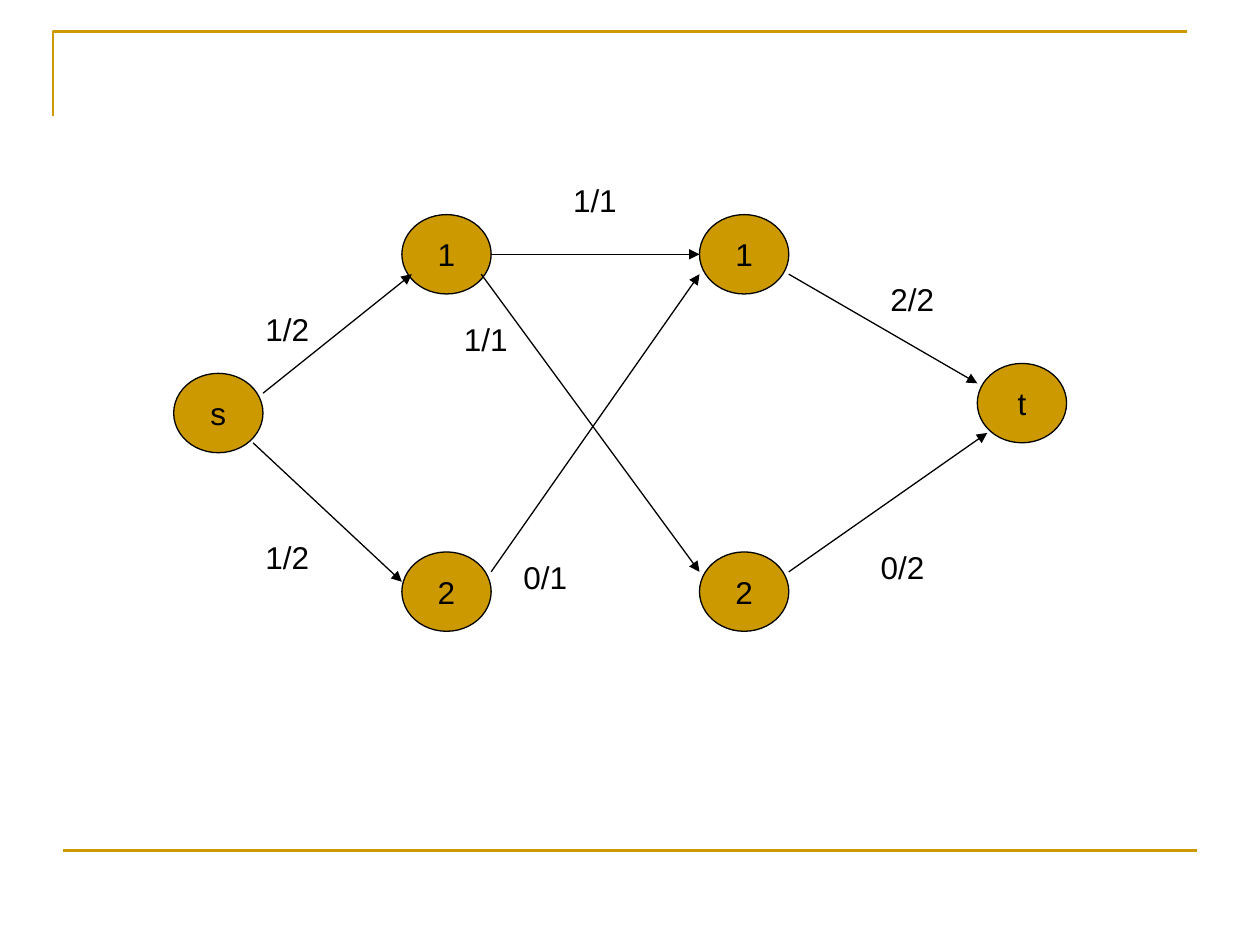
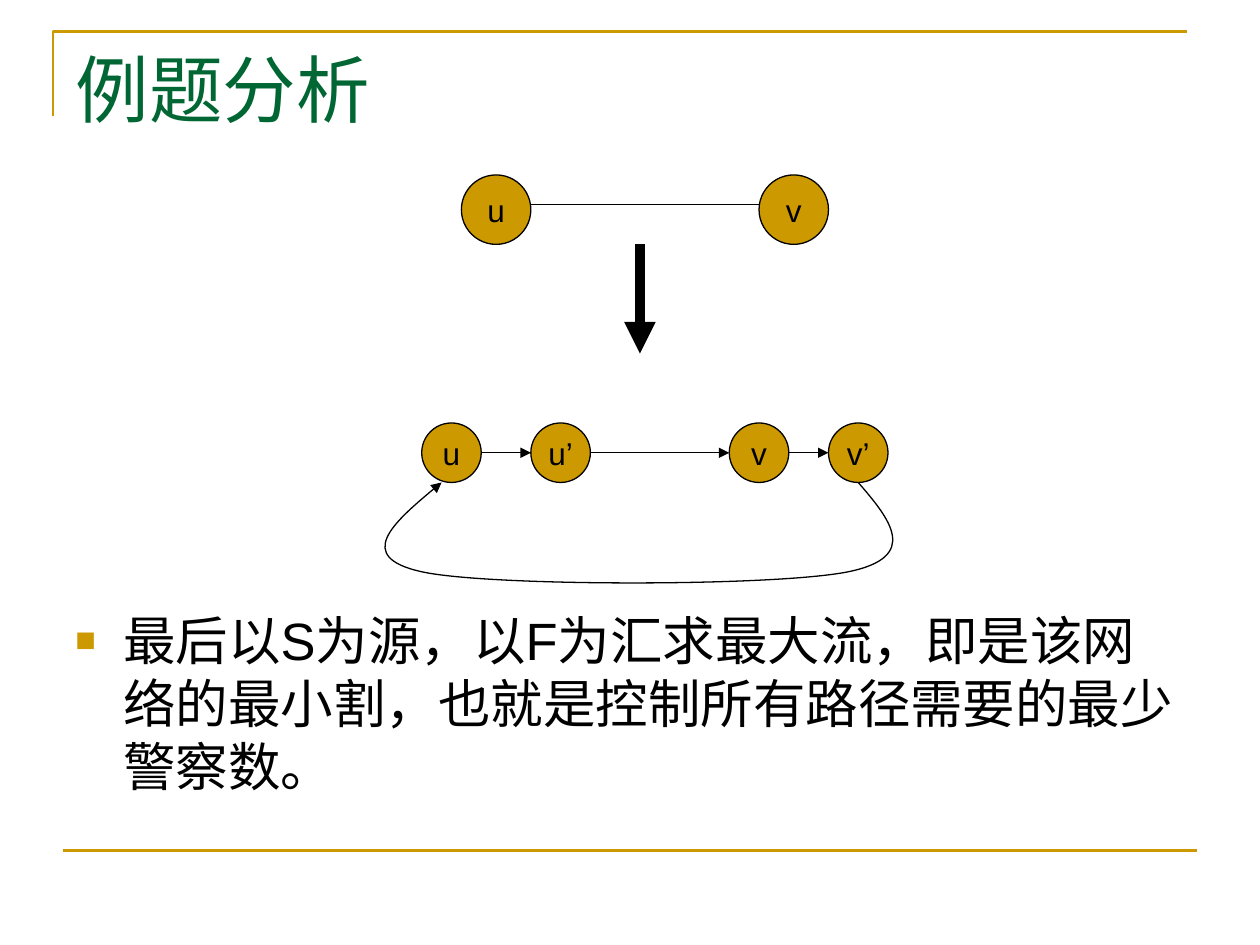
from dataclasses import dataclass
from typing import NamedTuple

from lxml import etree
from pptx import Presentation
from pptx.dml.color import RGBColor
from pptx.enum.shapes import MSO_CONNECTOR, MSO_SHAPE
from pptx.enum.text import MSO_ANCHOR, MSO_AUTO_SIZE, PP_ALIGN
from pptx.oxml.ns import qn
from pptx.util import Emu, Inches, Pt

STRAIGHT = MSO_CONNECTOR.STRAIGHT
ELLIPSE = MSO_SHAPE.OVAL
TOP, MIDDLE = MSO_ANCHOR.TOP, MSO_ANCHOR.MIDDLE
LEFT, CENTER = PP_ALIGN.LEFT, PP_ALIGN.CENTER
FIXED, GROW = MSO_AUTO_SIZE.NONE, MSO_AUTO_SIZE.SHAPE_TO_FIT_TEXT
TITLE_ONLY, BLANK = 5, 6


@dataclass(frozen=True)
class Theme:
    gold: RGBColor = RGBColor(0xCC, 0x99, 0x00)
    green: RGBColor = RGBColor(0x00, 0x66, 0x33)
    black: RGBColor = RGBColor(0x00, 0x00, 0x00)
    title_font: str = "Times New Roman"
    text_font: str = "Arial"
    title_size: float = 42
    body_size: float = 30
    label_size: float = 18
    thin: float = 0.75
    frame: float = 1.5
    thick: float = 6


class Node(NamedTuple):
    text: str
    column: float
    row: float
    columns: float
    rows: float


class Edge(NamedTuple):
    start: tuple[float, float]
    end: tuple[float, float]
    weight: float = 0.75
    arrow: bool = True


class Label(NamedTuple):
    text: str
    column: float
    row: float
    columns: float


THEME = Theme()
WIDTH, HEIGHT = Inches(10), Inches(7.5)
CELL = WIDTH / 127  # square drawing grid, 127 columns wide
GRID_LEFT, GRID_TOP = Inches(0.04), Inches(0.05)
LABEL_ROWS = 5

# Flow network
LEFT_COLUMN, RIGHT_COLUMN, UPPER_ROW, LOWER_ROW = 40, 70, 21, 55
FLOW_NODES = [
    Node(text, column, row, 9, 8)
    for column in (LEFT_COLUMN, RIGHT_COLUMN)
    for text, row in (("1", UPPER_ROW), ("2", LOWER_ROW))
] + [Node("s", 17, 37, 9, 8), Node("t", 98, 36, 9, 8)]
FLOW_EDGES = [
    Edge((26, 39), (41, 27)),
    Edge((25, 44), (40, 58)),
    Edge((49, 25), (70, 25)),
    Edge((48, 27), (70, 57)),
    Edge((49, 57), (70, 27)),
    Edge((79, 27), (98, 38)),
    Edge((79, 57), (99, 43)),
]
FLOW_LABELS = [
    Label("1/2", 25, 30, 8),
    Label("1/2", 25, 53, 8),
    Label("1/1", 56, 17, 7),
    Label("0/1", 51, 55, 7),
    Label("1/1", 45, 31, 7),
    Label("2/2", 88, 27, 7),
    Label("0/2", 87, 54, 7),
]

# Splitting every vertex in two
SPLIT_NODES = [Node("u", 46, 17, 7, 7), Node("v", 76, 17, 7, 7)] + [
    Node(text, column, 42, 6, 6)
    for text, column in (("u", 42), ("u’", 53), ("v", 73), ("v’", 83))
]
SPLIT_EDGES = [
    Edge((53, 20), (76, 20), arrow=False),
    Edge((64, 24), (64, 35), THEME.thick),
] + [Edge((start, 45), (end, 45)) for start, end in ((48, 53), (59, 73), (79, 83))]
RETURN_CURVE = [
    (86, 48), (89.2, 51.7), (92.3, 55.5), (85, 57), (77.6, 58.5),
    (48.8, 58.5), (42, 57), (35.2, 55.5), (39.5, 51.7), (44, 48),
]
CONCLUSION = "最后以S为源，以F为汇求最大流，即是该网络的最小割，也就是控制所有路径需要的最少警察数。"


def grid_point(column: float, row: float) -> tuple[Emu, Emu]:
    return Emu(round(GRID_LEFT + column * CELL)), Emu(round(GRID_TOP + row * CELL))


def grid_box(column: float, row: float, columns: float, rows: float) -> tuple[Emu, ...]:
    return *grid_point(column, row), Emu(round(columns * CELL)), Emu(round(rows * CELL))


def share_box(left: float, top: float, width: float, height: float) -> tuple[Emu, ...]:
    return (Emu(round(left * WIDTH)), Emu(round(top * HEIGHT)),
            Emu(round(width * WIDTH)), Emu(round(height * HEIGHT)))


def set_text(shape, text: str, *, size: float = THEME.label_size, font: str = THEME.text_font,
             color: RGBColor = THEME.black, align=LEFT, anchor=TOP, wrap: bool = True,
             auto_size=FIXED, bullet: bool = False) -> None:
    frame = shape.text_frame
    frame.auto_size = auto_size
    frame.word_wrap = wrap
    frame.vertical_anchor = anchor
    frame.margin_left = frame.margin_right = Inches(0.1)
    frame.margin_top = frame.margin_bottom = Inches(0.05)
    paragraph = frame.paragraphs[0]
    paragraph.alignment = align
    if bullet:
        add_bullet(paragraph)
    run = paragraph.add_run()
    run.text = text
    run.font.size = Pt(size)
    run.font.name = font
    run.font.color.rgb = color


def add_bullet(paragraph) -> None:
    properties = paragraph._p.get_or_add_pPr()
    indent = Inches(0.38)
    properties.set("marL", str(indent))
    properties.set("indent", str(-indent))
    color = etree.SubElement(properties, qn("a:buClr"))
    etree.SubElement(color, qn("a:srgbClr"), val=str(THEME.gold))
    etree.SubElement(properties, qn("a:buSzPct"), val="65000")
    etree.SubElement(properties, qn("a:buFont"), typeface=THEME.text_font)
    etree.SubElement(properties, qn("a:buChar"), char="■")


def set_line(shape, color: RGBColor, weight: float, arrow: bool = False) -> None:
    shape.line.color.rgb = color
    shape.line.width = Pt(weight)
    if arrow:
        outline = shape.element.spPr.find(qn("a:ln"))
        etree.SubElement(outline, qn("a:tailEnd"), type="triangle")


def add_line(slide, start: tuple[Emu, Emu], end: tuple[Emu, Emu], color: RGBColor,
             weight: float, arrow: bool = False) -> None:
    connector = slide.shapes.add_connector(STRAIGHT, *start, *end)
    set_line(connector, color, weight, arrow)
    etree.SubElement(connector.element.spPr, qn("a:effectLst"))


def add_outline(slide, points: list[tuple[Emu, Emu]], color: RGBColor, weight: float,
                arrow: bool = False):
    builder = slide.shapes.build_freeform(*points[0])
    builder.add_line_segments(points[1:], close=False)
    shape = builder.convert_to_shape()
    shape.fill.background()
    shape.shadow.inherit = False
    set_line(shape, color, weight, arrow)
    return shape


def bend(shape) -> None:
    """Turn each three line segments into one Bézier segment."""
    segments = list(shape.element.iter(qn("a:lnTo")))
    for first in range(0, len(segments), 3):
        curve = etree.Element(qn("a:cubicBezTo"))
        segments[first].addprevious(curve)
        for segment in segments[first:first + 3]:
            curve.append(segment[0])
            segment.getparent().remove(segment)


def add_node(slide, node: Node) -> None:
    shape = slide.shapes.add_shape(ELLIPSE, *grid_box(*node[1:]))
    shape.shadow.inherit = False
    shape.fill.solid()
    shape.fill.fore_color.rgb = THEME.gold
    set_line(shape, THEME.black, THEME.thin)
    set_text(shape, node.text, align=CENTER, anchor=MIDDLE, wrap=False)


def add_label(slide, label: Label) -> None:
    box = grid_box(label.column, label.row, label.columns, LABEL_ROWS)
    set_text(slide.shapes.add_textbox(*box), label.text, auto_size=GROW)


def add_graph(slide, nodes: list[Node], edges: list[Edge]) -> None:
    for node in nodes:
        add_node(slide, node)
    for edge in edges:
        add_line(slide, grid_point(*edge.start), grid_point(*edge.end),
                 THEME.black, edge.weight, edge.arrow)


def add_framed_slide(presentation, layout: int):
    slide = presentation.slides.add_slide(presentation.slide_layouts[layout])
    left, top, width, height = share_box(0.042, 0.033, 0.9, 0.09)
    corner = [(left, top + height), (left, top), (left + width, top)]
    add_outline(slide, corner, THEME.gold, THEME.frame)
    left, top, width, _ = share_box(0.05, 0.9, 0.9, 0)
    add_line(slide, (left, top), (left + width, top), THEME.gold, THEME.frame)
    return slide


def add_flow_slide(presentation) -> None:
    slide = add_framed_slide(presentation, BLANK)
    add_graph(slide, FLOW_NODES, FLOW_EDGES)
    for label in FLOW_LABELS:
        add_label(slide, label)


def add_analysis_slide(presentation) -> None:
    slide = add_framed_slide(presentation, TITLE_ONLY)
    title = slide.shapes.title
    title.left, title.top, title.width, title.height = share_box(0.05, 0.04, 0.9, 0.167)
    set_text(title, "例题分析", size=THEME.title_size, font=THEME.title_font, color=THEME.green)
    body = slide.shapes.add_textbox(*share_box(0.05, 0.637, 0.9, 0.256))
    set_text(body, CONCLUSION, size=THEME.body_size, bullet=True)
    add_graph(slide, SPLIT_NODES, SPLIT_EDGES)
    points = [grid_point(*point) for point in RETURN_CURVE]
    bend(add_outline(slide, points, THEME.black, THEME.thin, arrow=True))


def main() -> None:
    presentation = Presentation()
    presentation.slide_width, presentation.slide_height = WIDTH, HEIGHT
    add_flow_slide(presentation)
    add_analysis_slide(presentation)
    presentation.save("out.pptx")


if __name__ == "__main__":
    main()
